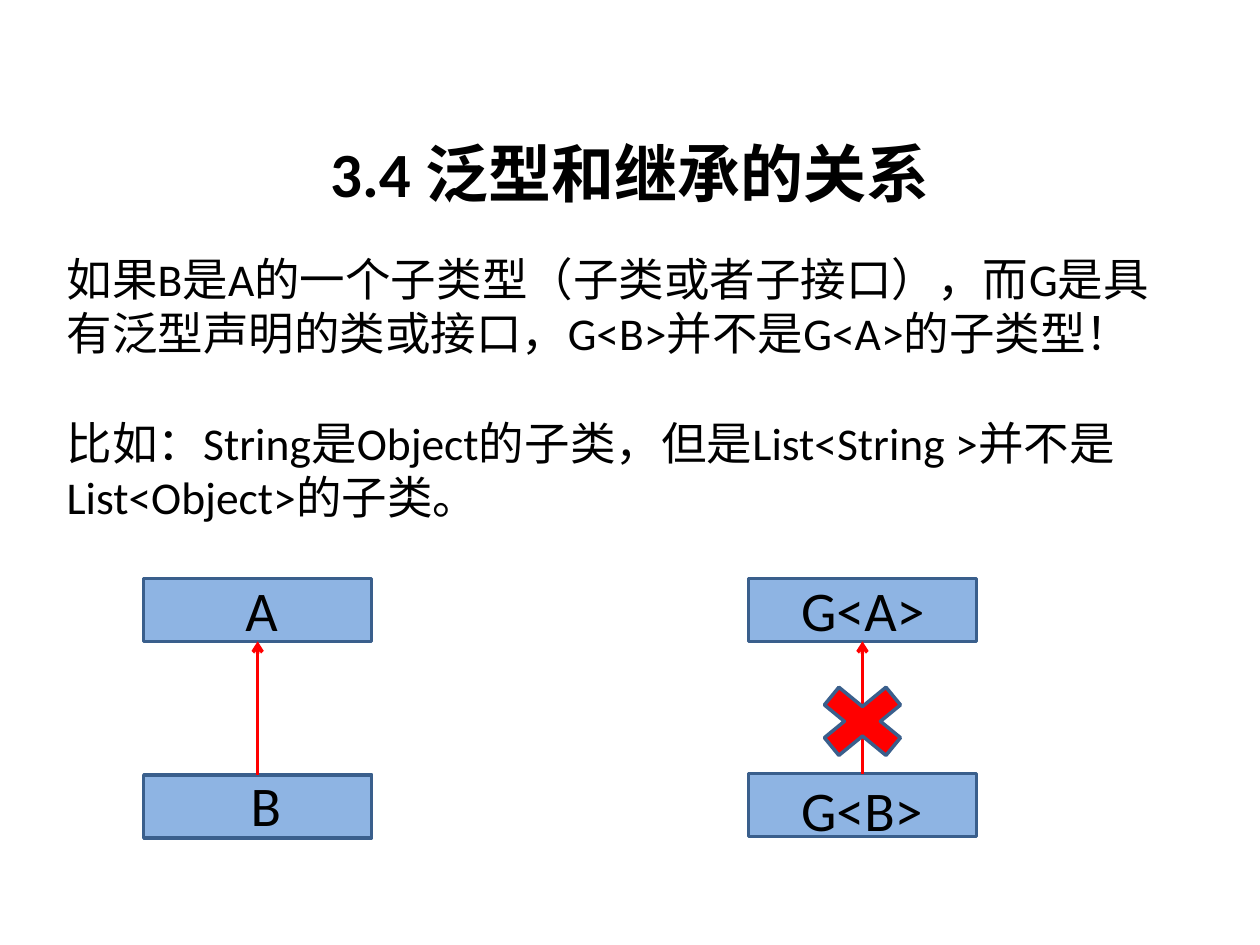
from lxml import etree
from pptx import Presentation
from pptx.dml.color import RGBColor
from pptx.enum.shapes import MSO_CONNECTOR, MSO_SHAPE
from pptx.enum.text import MSO_ANCHOR, MSO_AUTO_SIZE, PP_ALIGN
from pptx.oxml.ns import qn
from pptx.util import Inches, Pt

RECT, CROSS = MSO_SHAPE.RECTANGLE, MSO_SHAPE.MATH_MULTIPLY
STRAIGHT = MSO_CONNECTOR.STRAIGHT
LEFT, TOP, NO_FIT = PP_ALIGN.LEFT, MSO_ANCHOR.TOP, MSO_AUTO_SIZE.NONE

BLACK = RGBColor(0x00, 0x00, 0x00)
RED = RGBColor(0xFF, 0x00, 0x00)
BLUE = RGBColor(0x8E, 0xB4, 0xE3)
OUTLINE = RGBColor(0x3A, 0x5F, 0x8C)

FONT = "Calibri"
TITLE = {"size": Pt(36), "bold": True}
BODY = {"size": Pt(26)}
LABEL = {"size": Pt(32)}

NODE_W, NODE_H = 1.81, 0.5
LABEL_H = 0.64
CROSS_W, CROSS_H = 0.94, 0.77


def inches(*lengths):
    return [Inches(v) for v in lengths]


def write(tf, texts, fmt, gap=0):
    """Fill a text frame with left-aligned paragraphs, gap points apart."""
    for name, value in {"word_wrap": True, "auto_size": NO_FIT,
                        "vertical_anchor": TOP}.items():
        setattr(tf, name, value)
    for i, text in enumerate(texts):
        p = tf.add_paragraph() if i else tf.paragraphs[0]
        p.alignment = LEFT
        p.space_before = Pt(gap if i else 0)
        r = p.add_run()
        r.text = text
        r.font.color.rgb = BLACK
        for name, value in {"name": FONT, **fmt}.items():
            setattr(r.font, name, value)


def add_title(s, box, text):
    sp = s.shapes.title
    for name, value in zip(("left", "top", "width", "height"), inches(*box)):
        setattr(sp, name, value)
    write(sp.text_frame, [text], TITLE)


def add_text(s, box, texts, fmt, gap=0):
    write(s.shapes.add_textbox(*inches(*box)).text_frame, texts, fmt, gap)


def add_shape(s, kind, box, fill):
    sp = s.shapes.add_shape(kind, *inches(*box))
    sp.shadow.inherit = False
    sp.fill.solid()
    sp.fill.fore_color.rgb = fill
    sp.line.color.rgb = OUTLINE
    sp.line.width = Pt(2)
    return sp


def add_arrow(s, child, parent):
    """Join the top of child to the bottom of parent."""
    c = s.shapes.add_connector(STRAIGHT, 0, 0, 0, 0)
    c.begin_connect(child, 0)
    c.end_connect(parent, 2)
    c.line.color.rgb = RED
    c.line.width = Pt(2)
    etree.SubElement(c.line._get_or_add_ln(), qn("a:tailEnd"), type="arrow")
    etree.SubElement(c._element.spPr, qn("a:effectLst"))


def add_inheritance(s, box, labels, crossed=False):
    """Draw a parent node over a child node; each label is (text, dx, dy, width)."""
    x, y, w, h = box
    tops = (y, y + h - NODE_H)
    parent, child = [add_shape(s, RECT, (x, top, w, NODE_H), BLUE) for top in tops]
    add_arrow(s, child, parent)
    for top, (text, dx, dy, width) in zip(tops, labels):
        add_text(s, (x + dx, top + dy, width, LABEL_H), [text], LABEL)
    if crossed:
        add_shape(s, CROSS, (x + (w - CROSS_W) / 2, y + 0.75, CROSS_W, CROSS_H), RED)


def main():
    prs = Presentation()
    prs.slide_width, prs.slide_height = inches(10, 7.5)
    s = prs.slides.add_slide(prs.slide_layouts[5])
    add_title(s, (2.52, 1.02, 5.43, 0.71), "3.4 泛型和继承的关系")
    add_text(s, (0.43, 1.94, 9.13, 2.29), [
        "如果B是A的一个子类型（子类或者子接口），而G是具有泛型声明的类或接口，"
        "G<B>并不是G<A>的子类型！",
        "比如：String是Object的子类，但是List<String >并不是List<Object>的子类。",
    ], BODY, gap=31.5)
    add_inheritance(s, (1.14, 4.59, NODE_W, 2.06),
                    [("A", 0.71, -0.07, 0.67), ("B", 0.75, -0.08, 0.67)])
    add_inheritance(s, (5.94, 4.59, NODE_W, 2.05),
                    [("G<A>", 0.32, -0.07, 1.34), ("G<B>", 0.32, -0.03, 1.34)],
                    crossed=True)
    prs.save("out.pptx")


if __name__ == "__main__":
    main()
